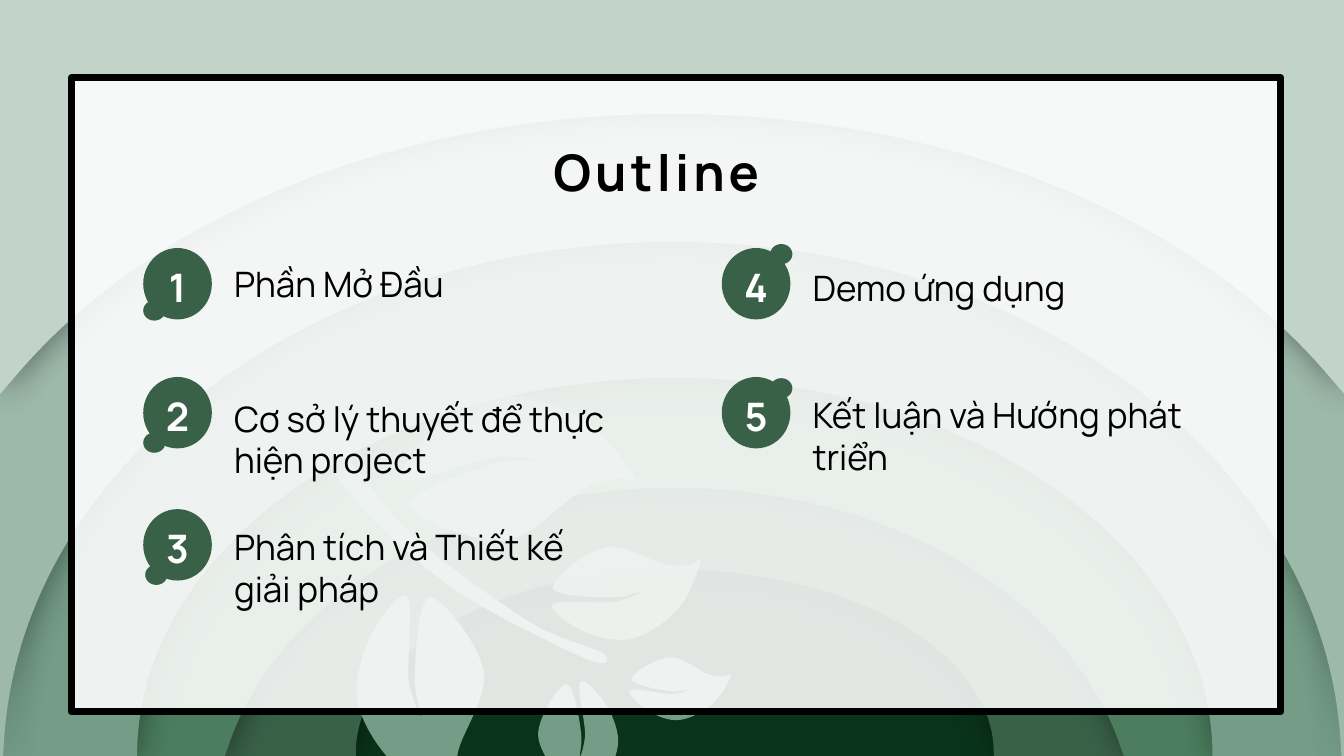
"""Build the Outline slide: layered arches, a leafy branch and five numbered topics."""
from math import cos, radians, sin

from lxml.etree import SubElement
from pptx import Presentation
from pptx.dml.color import RGBColor
from pptx.enum.shapes import MSO_SHAPE as Shape
from pptx.enum.text import MSO_ANCHOR as Anchor, MSO_AUTO_SIZE as AutoSize, PP_ALIGN as Align
from pptx.oxml.ns import qn
from pptx.util import Cm, Pt

FONT = "Manrope"
BLACK, WHITE, NIGHT, FOREST, SAGE = "000000", "FFFFFF", "0A331B", "396148", "749C86"
TITLE = "Outline"

# text, badge left, badge top, text top, text width, bud offset
TOPICS = [
    ("Phần Mở Đầu", 3.61, 6.25, 6.48, 11, (0, 1.32)),
    ("Cơ sở lý thuyết để thực hiện project", 3.61, 9.5, 9.88, 11.63, (0, 1.4)),
    ("Phân tích và Thiết kế giải pháp", 3.61, 12.83, 13.13, 10.34, (0.05, 1.4)),
    ("Demo ứng dụng", 18.19, 6.25, 6.58, 11, (1.22, -0.1)),
    ("Kết luận và Hướng phát triển", 18.19, 9.5, 9.8, 10.39, (1.22, 0.03)),
]

UNIT = Cm(0.0254)
PAGE_WIDTH = 1333.33

# colour, centre, foot, shoulder, two curve controls; x is the distance from the centre
INNER_ARCHES = [
    (FOREST, 669.5, (316.5, 750), (316.5, 747), (316.5, 647), (174.5, 565)),
    ("4B7D5E", 669, (446, 750), (442, 739), (392, 592), (213, 484)),
]
OUTER_ARCHES = [
    (SAGE, 669.5, (533.5, 750), (533.5, 750), (533.5, 543), (294.5, 375)),
    ("9DB9AA", 667, (664, 750), (663, 735), (646, 459), (355, 240)),
    ("C2D4CA", 667, (667, 391), (648, 369), (515, 215), (275, 113)),
]

STEM = [
    (331, 435), (346, 450), (376, 499), (408, 530), (441, 560), (494, 597), (525, 617),
    (557, 636), (589, 642), (598, 648), (607, 654), (604, 664), (580, 653),
    (555, 642), (488, 610), (450, 584), (411, 557), (371, 516), (349, 493),
    (328, 469), (325, 453), (321, 442), (318, 432), (317, 421), (331, 435),
]
LEAF = [
    (-105, 15), (-115, 10), (-87, -25), (-70, -39), (-53, -53), (-28, -68), (-5, -69),
    (19, -70), (50, -60), (72, -47), (94, -34), (119, 0), (125, 10),
    (131, 20), (116, 10), (107, 13), (98, 15), (91, 14), (73, 24),
    (54, 35), (25, 71), (-4, 74), (-32, 77), (-90, 54), (-97, 40),
    (-104, 27), (-35, 4), (-16, -1), (2, -7), (26, -4), (26, -6),
    (27, -7), (8, -10), (-12, -9), (-32, -7), (-95, 20), (-105, 15),
]
# centre, scale, mirror, turn in degrees, opacity
LEAVES = [
    ((504.5, 462), 1, 1, 0, 100),
    ((416.5, 686.5), 0.9, -1, 254.4, 100),
    ((617.5, 589), 0.66, -1, 163.2, 86),
    ((671.5, 684), 0.44, -1, 171.1, 100),
    ((574.5, 736), 0.56, 1, 99.4, 100),
]


def colour(hex_code):
    return RGBColor.from_string(hex_code)


def paint(shape, hex_code, opacity=100):
    shape.shadow.inherit = False
    shape.fill.solid()
    shape.fill.fore_color.rgb = colour(hex_code)
    shape.line.fill.background()
    if opacity < 100:
        tint = shape.fill._xPr.find(qn("a:solidFill"))[0]
        SubElement(tint, qn("a:alpha"), val=str(opacity * 1000))


def cast_shadow(shape):
    effects = shape._element.spPr.find(qn("a:effectLst"))
    shadow = SubElement(effects, qn("a:outerShdw"), blurRad=str(Pt(24)), dist=str(Pt(3)),
                        dir=str(45 * 60000), algn="tl", rotWithShape="0")
    black = SubElement(shadow, qn("a:srgbClr"), val=BLACK)
    SubElement(black, qn("a:alpha"), val="40000")


def bend(outline, first, last):
    segments = list(outline._element.iter(qn("a:lnTo")))[first:last]
    for i in range(0, len(segments), 3):
        curve = segments[i].getparent().makeelement(qn("a:cubicBezTo"))
        segments[i].addprevious(curve)
        for segment in segments[i:i + 3]:
            curve.append(segment[0])
            segment.getparent().remove(segment)


def add_outline(shapes, points, hex_code, opacity=100, first=0, last=None):
    start, *rest = [(x * UNIT, y * UNIT) for x, y in points]
    pen = shapes.build_freeform(*start)
    pen.add_line_segments(rest, close=True)
    outline = pen.convert_to_shape()
    bend(outline, first, last)
    paint(outline, hex_code, opacity)
    return outline


def add_arch(shapes, hex_code, centre, *half):
    foot_y, crest_y = half[0][1], half[-1][1]
    right = [(centre + x, y) for x, y in half]
    left = [(centre - x, y) for x, y in reversed(half)]
    points = [(0, 0), (PAGE_WIDTH, 0), (PAGE_WIDTH, foot_y),
              *right, (centre, crest_y), *left, (0, foot_y)]
    cast_shadow(add_outline(shapes, points, hex_code, first=4, last=10))


def add_leaf(shapes, centre, scale, mirror, turn, opacity):
    c, s = cos(radians(turn)) * scale, sin(radians(turn)) * scale
    placed = [(centre[0] + mirror * x * c - y * s, centre[1] + mirror * x * s + y * c)
              for x, y in LEAF]
    add_outline(shapes, placed, SAGE, opacity)


def write(frame, text, size, hex_code, bold=False, align=Align.LEFT, anchor=Anchor.TOP):
    frame.auto_size = AutoSize.NONE
    frame.vertical_anchor = anchor
    frame.text = text
    paragraph = frame.paragraphs[0]
    paragraph.alignment = align
    font = paragraph.font
    font.name, font.size, font.bold = FONT, Pt(size), bold
    font.color.rgb = colour(hex_code)


def add_topic(shapes, number, text, left, top, text_top, width, bud_offset):
    label = shapes.add_textbox(Cm(left + 2.04), Cm(text_top), Cm(width), Cm(2.39)).text_frame
    label.word_wrap = True
    write(label, text, 25, BLACK)
    badge = shapes.add_shape(Shape.OVAL, Cm(left), Cm(top), Cm(1.73), Cm(1.8))
    bud = shapes.add_shape(Shape.OVAL, Cm(left + bud_offset[0]), Cm(top + bud_offset[1]),
                           Cm(0.56), Cm(0.51))
    paint(badge, FOREST)
    paint(bud, FOREST)
    frame = badge.text_frame
    frame.word_wrap = False
    frame.margin_left = frame.margin_right = frame.margin_bottom = 0
    frame.margin_top = Cm(0.15)
    write(frame, str(number), 28, WHITE, True, Align.CENTER, Anchor.MIDDLE)


def main():
    deck = Presentation()
    deck.slide_width, deck.slide_height = Cm(33.87), Cm(19.05)
    slide = deck.slides.add_slide(deck.slide_layouts[5])
    slide.background.fill.solid()
    slide.background.fill.fore_color.rgb = colour(NIGHT)
    shapes = slide.shapes

    for arch in INNER_ARCHES:
        add_arch(shapes, *arch)
    add_outline(shapes, STEM, SAGE)
    for leaf in LEAVES:
        add_leaf(shapes, *leaf)
    for arch in OUTER_ARCHES:
        add_arch(shapes, *arch)

    panel = shapes.add_shape(Shape.RECTANGLE, Cm(1.8), Cm(1.96), Cm(30.48), Cm(15.98))
    paint(panel, WHITE, 88)
    panel.line.color.rgb = colour(BLACK)
    panel.line.width = Pt(5)

    title = shapes.title
    title.left, title.top, title.width, title.height = Cm(13.69), Cm(3.43), Cm(5.99), Cm(1.8)
    title.text_frame.word_wrap = False
    write(title.text_frame, TITLE, 36, BLACK, True)
    title.text_frame.paragraphs[0].runs[0]._r.get_or_add_rPr().set("spc", "300")
    panel._element.addnext(title._element)

    for number, topic in enumerate(TOPICS, 1):
        add_topic(shapes, number, *topic)
    deck.save("out.pptx")


if __name__ == "__main__":
    main()
